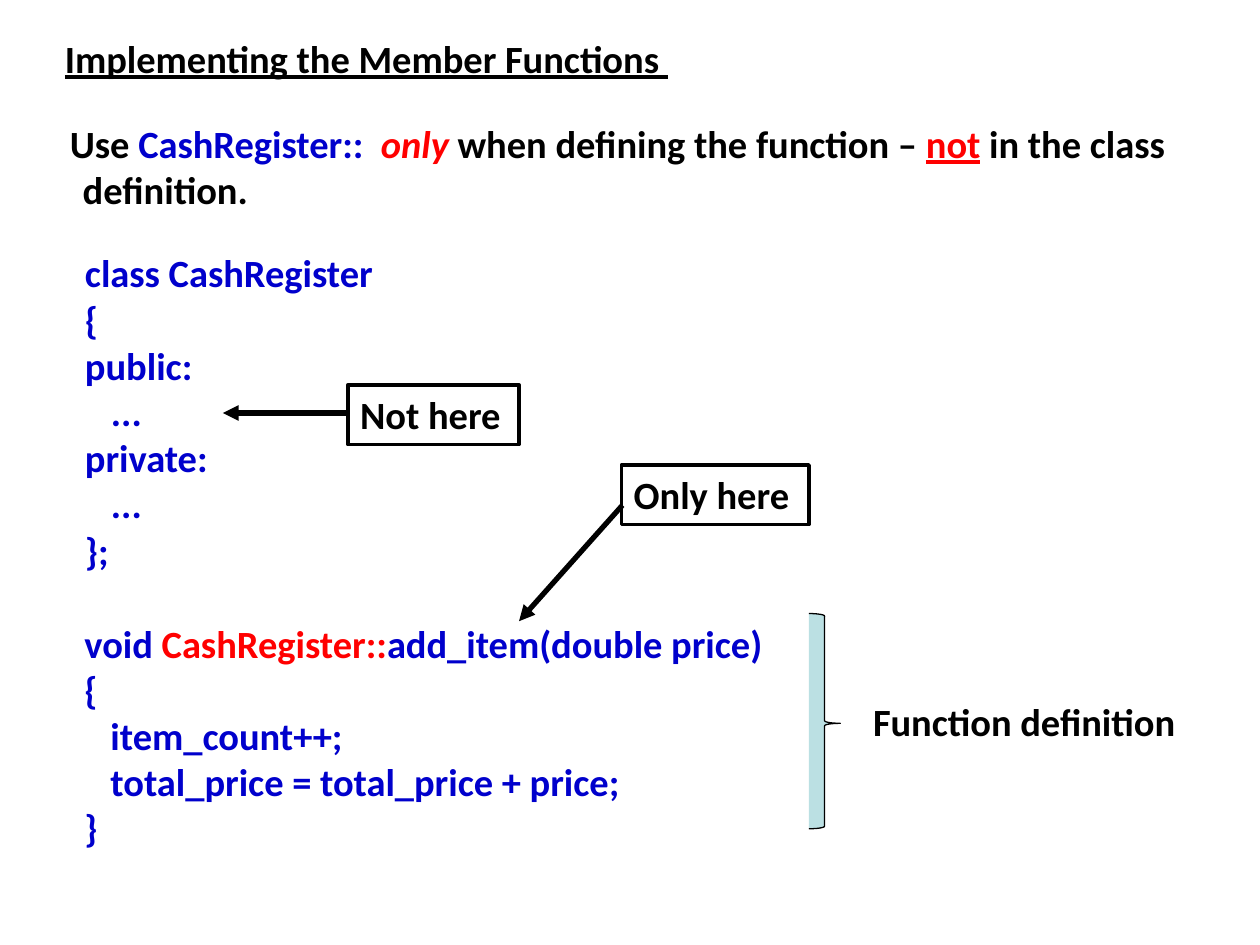
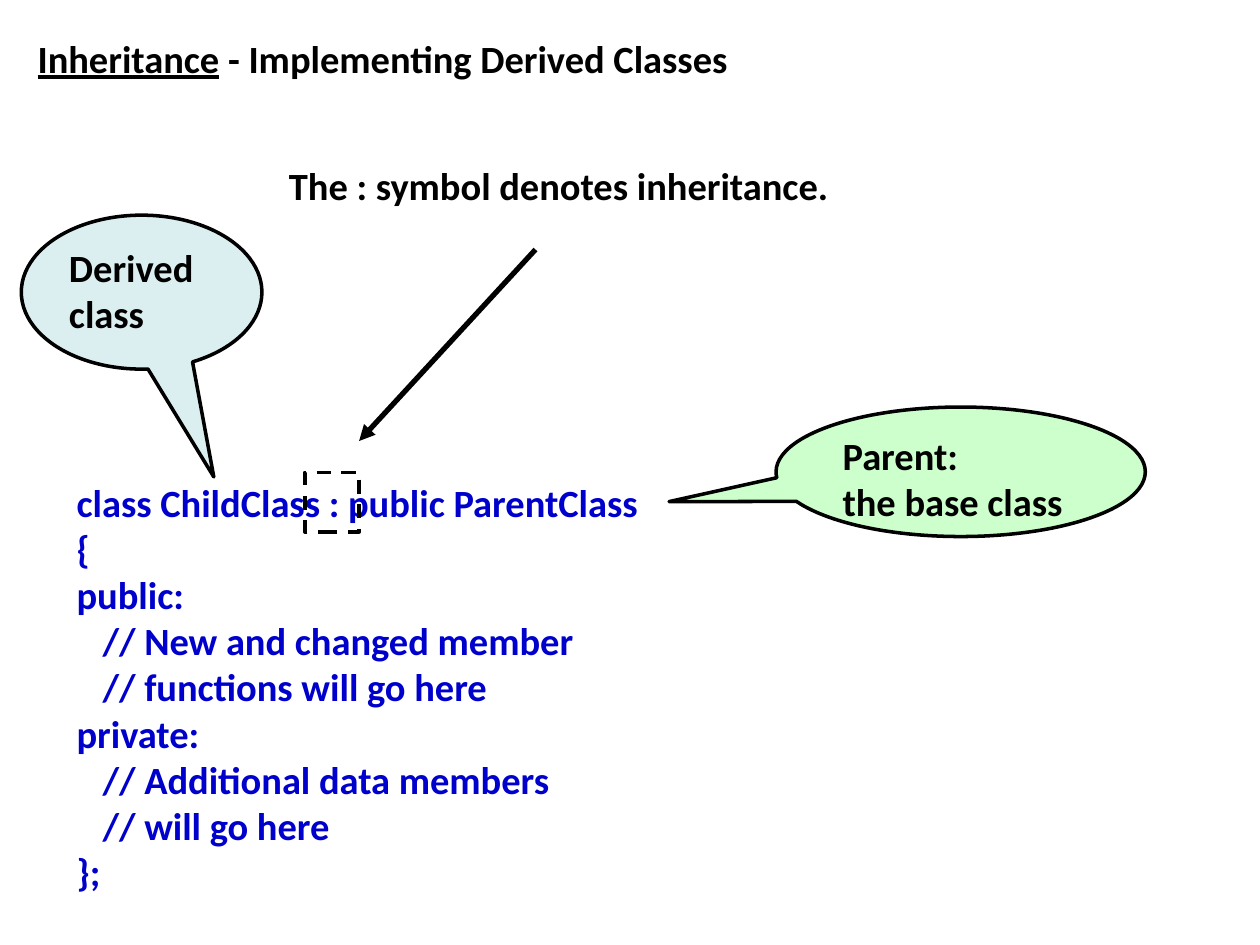
from lxml import etree
from pptx import Presentation
from pptx import util as u
from pptx.dml import color
from pptx.enum import dml, shapes, text
from pptx.oxml import ns

Pt = u.Pt
COLORS = {
    "ink": "000000",
    "code": "0000CC",
    "alert": "FF0000",
    "teal": "BBE0E3",
    "mint": "CCFFCC",
}
FONT, SIZE = "Calibri", 22
TOP, MIDDLE = text.MSO_ANCHOR.TOP, text.MSO_ANCHOR.MIDDLE


def rgb(name):
    return color.RGBColor.from_string(COLORS[name])


class Lecture:
    def __init__(self):
        self.deck = Presentation()
        self.deck.slide_width, self.deck.slide_height = Pt(720), Pt(540)
        self.page = None

    def new_page(self, left, *title):
        self.page = self.deck.slides.add_slide(self.deck.slide_layouts[6])
        self.words((left, 12, 657, 42), [title], anchor=MIDDLE)

    def set_lines(self, frame, lines, ink="ink", anchor=TOP):
        frame.word_wrap = True
        frame.vertical_anchor = anchor
        for index, line in enumerate(lines):
            para = frame.add_paragraph() if index else frame.paragraphs[0]
            para.alignment = text.PP_ALIGN.LEFT
            para.font.name, para.font.size, para.font.bold = FONT, Pt(SIZE), True
            para.font.color.rgb = rgb(ink)
            for part in [line] if isinstance(line, str) else line:
                words, style = (part, {}) if isinstance(part, str) else part
                span = para.add_run()
                span.text = words
                if "ink" in style:
                    span.font.color.rgb = rgb(style["ink"])
                if "italic" in style:
                    span.font.italic = True
                if "underline" in style:
                    span.font.underline = True

    def words(self, area, lines, ink="ink", anchor=TOP, hanging=0):
        box = self.page.shapes.add_textbox(*map(Pt, area))
        self.set_lines(box.text_frame, lines, ink, anchor)
        if hanging:
            props = box.text_frame.paragraphs[0]._p.get_or_add_pPr()
            props.set("marL", str(Pt(hanging)))
            props.set("indent", str(-Pt(hanging)))

    def code(self, area, lines):
        self.words(area, lines, ink="code")

    def shape(self, kind, area, lines=(), fill=None, opacity=100, width=2,
              adjust=(), dashed=False):
        item = self.page.shapes.add_shape(kind, *map(Pt, area))
        item.shadow.inherit = False
        for index, value in enumerate(adjust):
            item.adjustments[index] = value
        if fill:
            item.fill.solid()
            item.fill.fore_color.rgb = rgb(fill)
            if opacity < 100:
                tint = item._element.spPr.find(".//" + ns.qn("a:srgbClr"))
                etree.SubElement(tint, ns.qn("a:alpha"), val=str(opacity * 1000))
        else:
            item.fill.background()
        item.line.color.rgb = rgb("ink")
        item.line.width = Pt(width)
        if dashed:
            item.line.dash_style = dml.MSO_LINE.DASH
        self.set_lines(item.text_frame, lines)

    def note(self, area, words):
        self.shape(shapes.MSO_SHAPE.RECTANGLE, area, [words])

    def callout(self, area, lines, fill, tip, opacity=100):
        self.shape(shapes.MSO_SHAPE.OVAL_CALLOUT, area, lines, fill, opacity,
                   adjust=tip)

    def arrow(self, *ends):
        arrow = self.page.shapes.add_connector(
            shapes.MSO_CONNECTOR.STRAIGHT, *map(Pt, ends))
        arrow.line.color.rgb = rgb("ink")
        arrow.line.width = Pt(3)
        props = arrow._element.spPr
        etree.SubElement(props.find(ns.qn("a:ln")), ns.qn("a:tailEnd"),
                         type="triangle")
        etree.SubElement(props, ns.qn("a:effectLst"))


def member_functions(lecture):
    lecture.new_page(30, ("Implementing the Member Functions ", {"underline": True}))
    lecture.words((32.8, 64.8, 669, 60), [[
        "Use ",
        ("CashRegister::  ", {"ink": "code"}),
        ("only", {"ink": "alert", "italic": True}),
        " when defining the function – ",
        ("not", {"ink": "alert", "underline": True}),
        " in the class definition.",
    ]], hanging=7.4)
    lecture.code((41.5, 139, 520, 194), [
        "class CashRegister",
        "{",
        "public:",
        "   ...",
        "private:",
        "   ...",
        "};",
    ])
    lecture.code((41.2, 350.6, 661, 140), [
        ["void ", ("CashRegister::", {"ink": "alert"}), "add_item(double price)"],
        "{",
        "   item_count++;",
        "   total_price = total_price + price;",
        "}",
    ])
    lecture.note((198.7, 220, 98, 34), "Not here")
    lecture.note((355, 265.7, 107.3, 34), "Only here")
    lecture.arrow(199.4, 236, 127.4, 236)
    lecture.arrow(355.7, 288.7, 296.6, 355)
    lecture.shape(shapes.MSO_SHAPE.RIGHT_BRACE, (462.2, 350.6, 18, 123),
                  fill="teal", width=0.75, adjust=(0.08, 0.51))
    lecture.words((491.8, 395.3, 200, 34), ["Function definition"])


def derived_classes(lecture):
    lecture.new_page(14.4, ("Inheritance", {"underline": True}),
                     " - Implementing Derived Classes")
    lecture.words((158, 89.3, 400, 34), ["The : symbol denotes inheritance."])
    lecture.code((36.7, 270, 643, 247), [
        "class ChildClass : public ParentClass",
        "{",
        "public:",
        "   // New and changed member",
        "   // functions will go here",
        "private:",
        "   // Additional data members",
        "   // will go here",
        "};",
    ])
    lecture.arrow(306, 142.6, 205.2, 252)
    lecture.shape(shapes.MSO_SHAPE.RECTANGLE, (174.2, 270, 31, 34), dashed=True)
    lecture.callout((12.2, 123, 137.5, 88), ["Derived class"], "teal",
                    (0.3, 1.2), opacity=50)
    lecture.callout((443.5, 232.6, 211, 74), ["Parent:", "the base class"],
                    "mint", (-0.79, 0.23))


def main():
    lecture = Lecture()
    member_functions(lecture)
    derived_classes(lecture)
    lecture.deck.save("out.pptx")


if __name__ == "__main__":
    main()
